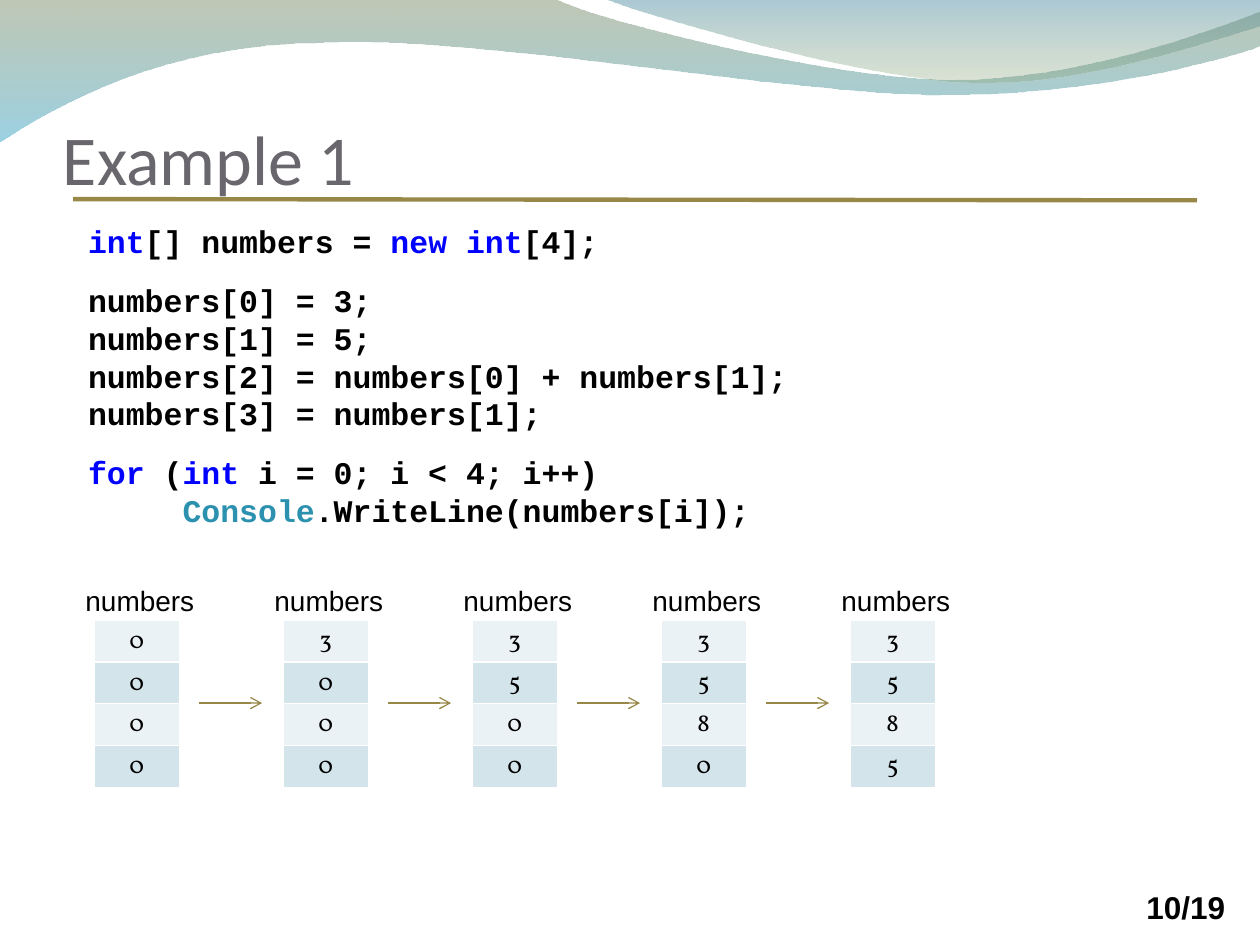
"""Build the "Example 1" slide on filling an array step by step."""
from lxml.etree import SubElement
from pptx import Presentation
from pptx.dml.color import RGBColor
from pptx.enum.shapes import MSO_CONNECTOR
from pptx.enum.text import MSO_ANCHOR, MSO_AUTO_SIZE, PP_ALIGN
from pptx.oxml.ns import qn
from pptx.util import Inches, Pt

BLACK = RGBColor(0x00, 0x00, 0x00)
TITLE_GREY = RGBColor(0x69, 0x67, 0x6D)
KEYWORD_BLUE = RGBColor(0x00, 0x00, 0xFF)
CLASS_TEAL = RGBColor(0x2B, 0x91, 0xAF)
GOLD = RGBColor(0x98, 0x88, 0x48)
BORDER_WHITE = RGBColor(0xFF, 0xFF, 0xFF)
BANDS = (RGBColor(0xEB, 0xF2, 0xF5), RGBColor(0xD4, 0xE4, 0xEB))

TITLE = "Example 1"
PAGE = "10/19"
ARRAY_NAME = "numbers"
CODE_BLOCKS = [
    [[("int", KEYWORD_BLUE), ("[] numbers = ", BLACK),
      ("new int", KEYWORD_BLUE), ("[4];", BLACK)]],
    [[("numbers[0] = 3;", BLACK)],
     [("numbers[1] = 5;", BLACK)],
     [("numbers[2] = numbers[0] + numbers[1];", BLACK)],
     [("numbers[3] = numbers[1];", BLACK)]],
    [[("for", KEYWORD_BLUE), (" (", BLACK), ("int", KEYWORD_BLUE),
      (" i = 0; i < 4; i++)", BLACK)],
     [("     ", BLACK), ("Console", CLASS_TEAL),
      (".WriteLine(numbers[i]);", BLACK)]],
]
ARRAY_STATES = [(0, 0, 0, 0), (3, 0, 0, 0), (3, 5, 0, 0), (3, 5, 8, 0), (3, 5, 8, 5)]
STATE_LEFT, STATE_STEP = 0.75, 1.5

WAVES = [
    {"start": (0, -0.01),
     "segments": [[(4.4, -0.01)],
                  [(4.76, 0.17), (6.64, 0.63), (7.58, 0.63)],
                  [(8.53, 0.63), (9.58, 0.26), (10, 0.09)],
                  [(10.01, 0.36)],
                  [(9.83, 0.44), (8.7, 0.76), (7.46, 0.75)],
                  [(6.22, 0.75), (3.82, 0.28), (2.57, 0.34)],
                  [(1.29, 0.35), (0.46, 0.83), (-0.01, 1.13)]],
     "stops": [(RGBColor(0x72, 0x84, 0x5C), 45), (RGBColor(0x49, 0xAC, 0xCD), 55)]},
    {"start": (4.79, -0.01),
     "segments": [[(5.09, 0.11), (6.82, 0.62), (7.69, 0.65)],
                  [(8.56, 0.69), (9.61, 0.32), (10, 0.21)],
                  [(10, 0)]],
     "stops": [(RGBColor(0x42, 0x86, 0x9E), 45), (RGBColor(0x8A, 0xA2, 0x6C), 30)]},
]


def bend(wave, segments):
    straights = iter(list(wave.element.spPr.iter(qn("a:lnTo"))))
    for segment in segments:
        pieces = [next(straights) for point in segment]
        if len(pieces) == 3:
            curve = pieces[0]
            for piece in pieces[1:]:
                curve.append(piece[0])
                piece.getparent().remove(piece)
            curve.tag = qn("a:cubicBezTo")


def add_wave(slide, start, segments, stops):
    builder = slide.shapes.build_freeform(*map(Inches, start))
    points = [(Inches(x), Inches(y)) for segment in segments for x, y in segment]
    builder.add_line_segments(points, close=True)
    wave = builder.convert_to_shape()
    bend(wave, segments)
    wave.shadow.inherit = False
    wave.line.fill.background()
    wave.fill.gradient()
    wave.fill.gradient_angle = 270
    for stop, (color, opacity) in zip(wave.fill.gradient_stops, stops):
        stop.color.rgb = color
    for tint, (color, opacity) in zip(wave.element.spPr.iter(qn("a:srgbClr")), stops):
        SubElement(tint, qn("a:alpha"), val=str(opacity * 1000))


def add_run(paragraph, text, size, face, color=BLACK, bold=False):
    run = paragraph.add_run()
    run.text = text
    run.font.size, run.font.name, run.font.bold = Pt(size), face, bold
    run.font.color.rgb = color


def add_frame(slide, left, top, width, height, wrap=True):
    frame = slide.shapes.add_textbox(*map(Inches, (left, top, width, height))).text_frame
    frame.word_wrap = wrap
    frame.auto_size = MSO_AUTO_SIZE.NONE
    return frame


def add_line(slide, x1, y1, x2, y2, weight, arrow=False):
    line = slide.shapes.add_connector(MSO_CONNECTOR.STRAIGHT, *map(Inches, (x1, y1, x2, y2)))
    line.line.color.rgb = GOLD
    line.line.width = Pt(weight)
    properties = line._element.spPr
    if arrow:
        SubElement(properties.find(qn("a:ln")), qn("a:tailEnd"), type="arrow")
    SubElement(properties, qn("a:effectLst"))


def add_border(cell, side, weight):
    edge = SubElement(cell._tc.get_or_add_tcPr(), qn(f"a:ln{side}"), w=str(Pt(weight)))
    SubElement(SubElement(edge, qn("a:solidFill")), qn("a:srgbClr"), val=str(BORDER_WHITE))


def add_array(slide, left, values):
    table = slide.shapes.add_table(len(values), 1, Inches(left), Inches(4.92),
                                   Inches(0.67), Inches(1.33)).table
    table.first_row = table.horz_banding = False
    for row, value in enumerate(values):
        cell = table.cell(row, 0)
        cell.margin_left = cell.margin_right = Inches(0.1)
        cell.margin_top, cell.margin_bottom = Inches(0.04), Inches(0.02)
        for side in "LRTB":
            under_first = (row, side) in ((0, "B"), (1, "T"))
            add_border(cell, side, 1.47 if under_first else 0.45)
        cell.fill.solid()
        cell.fill.fore_color.rgb = BANDS[row % 2]
        paragraph = cell.text_frame.paragraphs[0]
        paragraph.alignment = PP_ALIGN.CENTER
        add_run(paragraph, str(value), 14, "Vollkorn")
    label = add_frame(slide, left - 0.17, 4.58, 1.08, 0.37)
    add_run(label.paragraphs[0], ARRAY_NAME, 16, "Arial")


def add_code(slide):
    code = add_frame(slide, 0.6, 1.71, 5.75, 2.54, wrap=False)
    code.vertical_anchor = MSO_ANCHOR.MIDDLE
    paragraph = None
    for block in CODE_BLOCKS:
        for number, line in enumerate(block):
            first = paragraph is None
            paragraph = code.paragraphs[0] if first else code.add_paragraph()
            if number == 0 and not first:
                paragraph.space_before = Pt(12)
            for text, color in line:
                add_run(paragraph, text, 18, "Courier New", color, bold=True)


def main():
    deck = Presentation()
    deck.slide_width, deck.slide_height = Inches(10), Inches(7.5)
    slide = deck.slides.add_slide(deck.slide_layouts[6])
    for wave in WAVES:
        add_wave(slide, **wave)
    add_line(slide, 0.58, 1.58, 9.5, 1.59, 2.5)
    page = add_frame(slide, 9, 7, 0.92, 0.4)
    add_run(page.paragraphs[0], PAGE, 18, "Arial", bold=True)
    title = add_frame(slide, 0.5, 0.33, 9, 1.25)
    title.vertical_anchor = MSO_ANCHOR.BOTTOM
    title.margin_left = title.margin_right = title.margin_bottom = 0
    add_run(title.paragraphs[0], TITLE, 40, "Calibri", TITLE_GREY)
    add_code(slide)
    for index, values in enumerate(ARRAY_STATES):
        left = STATE_LEFT + index * STATE_STEP
        add_array(slide, left, values)
        if index:
            add_line(slide, left - 0.67, 5.58, left - 0.17, 5.58, 0.75, arrow=True)
    deck.save("out.pptx")


if __name__ == "__main__":
    main()
